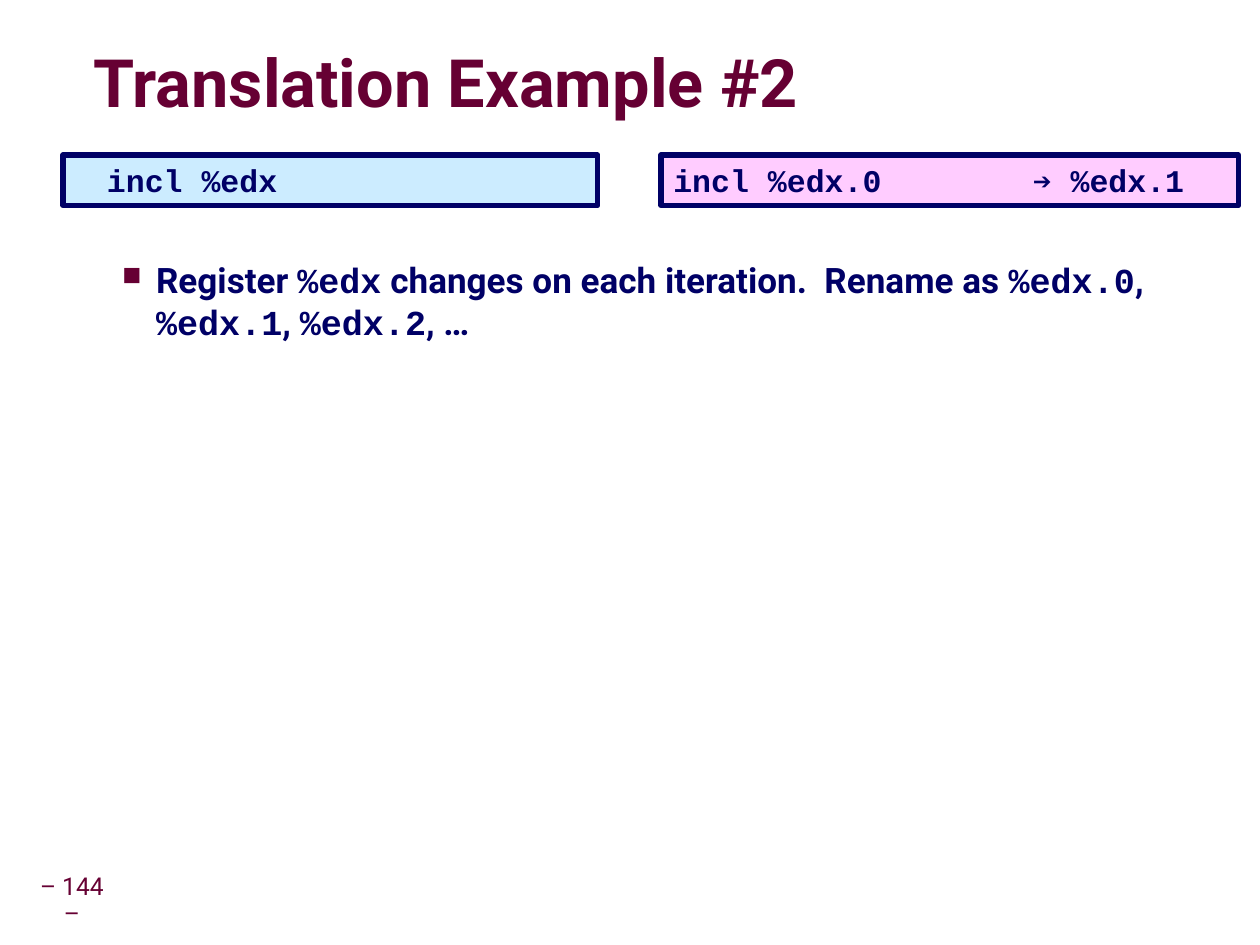
import pptx
import pptx.dml.color
import pptx.enum.shapes
import pptx.enum.text
import pptx.oxml
import pptx.oxml.ns
import pptx.util

Inches, Pt = pptx.util.Inches, pptx.util.Pt
ALIGN, ANCHOR = pptx.enum.text.PP_ALIGN, pptx.enum.text.MSO_ANCHOR
COLORS = {"wine": "660033", "navy": "000066", "sky": "CCECFF", "pink": "FFCCFF"}
SANS, MONO = "Roboto", "Courier New"
NS = pptx.oxml.ns.nsdecls("a")


def color(name):
    """Return the named colour."""
    return pptx.dml.color.RGBColor.from_string(COLORS[name])


def assign(item, values):
    """Set each attribute of the item."""
    for key, value in values.items():
        setattr(item, key, value)


def setup(frame, pad=(0.1, 0.05), **values):
    """Set the margins and format of a text frame."""
    x, y = map(Inches, pad)
    assign(frame, dict(margin_left=x, margin_right=x, margin_top=y,
                       margin_bottom=y, word_wrap=True) | values)


def write(para, text, font, size, hue, bold=True):
    """Add one formatted run to a paragraph."""
    run = para.add_run()
    run.text = text
    assign(run.font, dict(name=font, size=Pt(size), bold=bold))
    run.font.color.rgb = color(hue)
    return run


def label(slide, box, **values):
    """Add a text box and return its first paragraph."""
    frame = slide.shapes.add_textbox(*map(Inches, box)).text_frame
    setup(frame, **values)
    return frame.paragraphs[0]


def title(slide, box, text):
    """Add the heading with its soft shadow."""
    para = label(slide, box, pad=(0, 0), vertical_anchor=ANCHOR.MIDDLE)
    para.line_spacing = 0.87
    run = write(para, text, SANS, 38, "wine")
    shade = pptx.oxml.parse_xml(
        f'<a:effectLst {NS}><a:outerShdw blurRad="38100" dist="38100" '
        'dir="2700000"><a:srgbClr val="000000"><a:alpha val="43000"/>'
        '</a:srgbClr></a:outerShdw></a:effectLst>')
    run.font.fill._xPr.find(pptx.oxml.ns.qn("a:solidFill")).addnext(shade)


def code(slide, box, text, fill, stop):
    """Add a framed line of code with one tab stop."""
    rect = slide.shapes.add_shape(
        pptx.enum.shapes.MSO_SHAPE.RECTANGLE, *map(Inches, box))
    rect.shadow.inherit = False
    rect.fill.solid()
    rect.fill.fore_color.rgb = color(fill)
    rect.line.color.rgb = color("navy")
    rect.line.width = Pt(3)
    setup(rect.text_frame, vertical_anchor=ANCHOR.TOP)
    para = rect.text_frame.paragraphs[0]
    para.alignment = ALIGN.LEFT
    para._p.get_or_add_pPr().append(pptx.oxml.parse_xml(
        f'<a:tabLst {NS}><a:tab pos="{Inches(stop)}" algn="l"/></a:tabLst>'))
    write(para, text, MONO, 18, "navy")


def bullet(slide, box, parts):
    """Add a bulleted line that alternates prose and code."""
    para = label(slide, box)
    props = para._p.get_or_add_pPr()
    props.set("marL", str(Inches(0.81)))
    props.set("indent", str(Inches(-0.27)))
    for mark in (f'<a:buClr {NS}><a:srgbClr val="{COLORS["wine"]}"/></a:buClr>',
                 f'<a:buSzPct {NS} val="75000"/>',
                 f'<a:buChar {NS} char="■"/>'):
        props.append(pptx.oxml.parse_xml(mark))
    for i, part in enumerate(parts):
        write(para, part, (SANS, MONO)[i % 2], 20, "navy")


def number(slide, box, text):
    """Add the page number."""
    para = label(slide, box, pad=(0.05, 0.05), vertical_anchor=ANCHOR.MIDDLE)
    assign(para, dict(alignment=ALIGN.CENTER, line_spacing=0.9))
    write(para, text, SANS, 14, "wine", False)


def main():
    """Build and save the slide."""
    deck = pptx.Presentation()
    assign(deck, dict(slide_width=Inches(9.99), slide_height=Inches(7.49)))
    slide = deck.slides.add_slide(deck.slide_layouts[6])
    number(slide, (0.23, 6.98, 0.68, 0.32), "– 144 –")
    title(slide, (0.74, 0.37, 8.99, 0.63), "Translation Example #2")
    bullet(slide, (0.33, 2, 9.04, 0.33), (
        "Register ", "%edx", " changes on each iteration.  Rename as ",
        "%edx.0", ", ", "%edx.1", ", ", "%edx.2", ", …"))
    code(slide, (0.5, 1.23, 4.24, 0.4), "\tincl %edx", "sky", 0.25)
    code(slide, (5.24, 1.23, 4.58, 0.4), "incl %edx.0\t➔ %edx.1", "pink", 2.85)
    deck.save("out.pptx")


if __name__ == "__main__":
    main()
